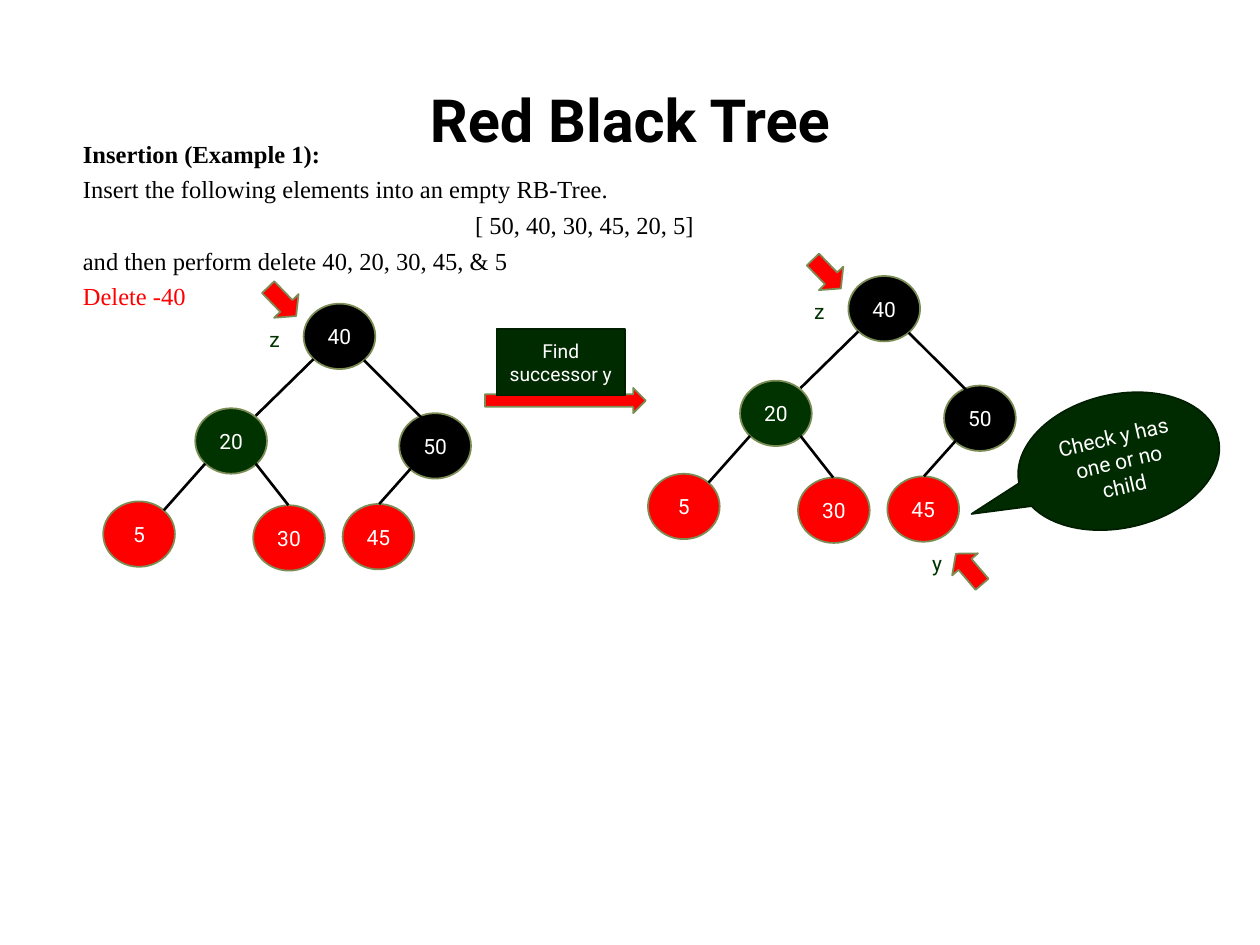
import pptx
import pptx.dml.color
import pptx.enum.shapes
import pptx.enum.text
import pptx.util
from pptx.oxml.ns import qn

Pt = pptx.util.Pt
RGB = pptx.dml.color.RGBColor
SHAPE = pptx.enum.shapes.MSO_SHAPE
ALIGN = pptx.enum.text.PP_ALIGN
ANCHOR = pptx.enum.text.MSO_ANCHOR

BLACK = RGB(0x00, 0x00, 0x00)
WHITE = RGB(0xFF, 0xFF, 0xFF)
RED = RGB(0xFF, 0x00, 0x00)
GREEN = RGB(0x00, 0x33, 0x00)
DARK_GREEN = RGB(0x00, 0x2A, 0x00)
DEEP_GREEN = RGB(0x00, 0x1F, 0x00)
OLIVE = RGB(0x7B, 0x8D, 0x55)

NODE_SIZE = (41, 37.4)
POINTER_SIZE = (23, 19.4)
LABEL_SIZE = (19.4, 21.6)

# Offsets from the top left corner of a tree
NODES = [
    ("40", 114.5, 10.8, BLACK),
    ("50", 169.2, 73.4, BLACK),
    ("20", 52.6, 70.6, GREEN),
    ("45", 136.8, 125.3, RED),
    ("5", 0, 123.8, RED),
    ("30", 85.7, 126, RED),
]
EDGES = [
    (149, 43.2, 182.2, 76.3),
    (120.2, 42.5, 87.1, 74.9),
    (175.7, 105.1, 157.7, 125.3),
    (58.3, 102.2, 34.6, 128.9),
    (87.1, 102.2, 105.8, 126),
]

BODY = [
    ("Insertion (Example 1):", ALIGN.JUSTIFY, {"bold": True}, BLACK),
    ("Insert the following elements into an empty RB-Tree.", ALIGN.JUSTIFY, {}, BLACK),
    ("[ 50, 40, 30, 45, 20, 5]", ALIGN.CENTER, {}, BLACK),
    ("and then perform delete 40, 20, 30, 45, & 5", ALIGN.LEFT, {}, BLACK),
    ("Delete -40", ALIGN.LEFT, {}, RED),
]


def write(p, text, color, align=ALIGN.LEFT, **font):
    r = p.add_run()
    r.text = text
    p.alignment = align
    for name, value in {"name": "Roboto", "size": Pt(12), **font}.items():
        setattr(r.font, name, value)
    r.font.color.rgb = color


def add_text_box(s, box, wrap=True):
    tf = s.shapes.add_textbox(*map(Pt, box)).text_frame
    tf.word_wrap = wrap
    return tf


def add_shape(s, kind, box, fill, line=OLIVE, rotation=0, adjustments=()):
    sp = s.shapes.add_shape(kind, *map(Pt, box))
    sp.shadow.inherit = False
    sp.fill.solid()
    sp.fill.fore_color.rgb = fill
    sp.line.color.rgb = line
    sp.line.width = Pt(1)
    sp.rotation = rotation
    for i, value in enumerate(adjustments):
        sp.adjustments[i] = value
    return sp


def caption(sp, text, size=12, inset=None):
    tf = sp.text_frame
    tf.word_wrap = True
    tf.vertical_anchor = ANCHOR.MIDDLE
    if inset is not None:
        for side in ("left", "right", "top", "bottom"):
            setattr(tf, f"margin_{side}", Pt(inset))
    write(tf.paragraphs[0], text, WHITE, ALIGN.CENTER, size=Pt(size))


def add_edge(s, x1, y1, x2, y2):
    cn = s.shapes.add_connector(
        pptx.enum.shapes.MSO_CONNECTOR.STRAIGHT, Pt(x1), Pt(y1), Pt(x2), Pt(y2))
    cn.line.color.rgb = BLACK
    cn.line.width = Pt(1.5)
    spPr = cn._element.spPr
    spPr.append(spPr.makeelement(qn("a:effectLst"), {}))


def add_pointer(s, name, arrow_at, label_at, rotation):
    """Short red arrow with the name of the variable beside it."""
    add_shape(s, SHAPE.RIGHT_ARROW, arrow_at + POINTER_SIZE, RED,
              rotation=rotation, adjustments=(0.5, 0.415))
    tf = add_text_box(s, label_at + LABEL_SIZE, wrap=False)
    write(tf.paragraphs[0], name, GREEN)


def add_tree(s, x, y):
    for key, dx, dy, fill in NODES:
        sp = add_shape(s, SHAPE.OVAL, (x + dx, y + dy) + NODE_SIZE, fill)
        caption(sp, key, inset=0)
    for x1, y1, x2, y2 in EDGES:
        add_edge(s, x + x1, y + y1, x + x2, y + y2)
    add_pointer(s, "z", (x + 90.7, y), (x + 87.8, y + 20.2), 46)


def add_title(s, box):
    tf = add_text_box(s, box)
    tf.vertical_anchor = ANCHOR.MIDDLE
    write(tf.paragraphs[0], "Red Black Tree", BLACK, ALIGN.CENTER,
          size=Pt(34), bold=True)


def add_body(s, box):
    tf = add_text_box(s, box)
    for i, (text, align, font, color) in enumerate(BODY):
        p = tf.add_paragraph() if i else tf.paragraphs[0]
        p.space_before = Pt(3.6 if i else 0)
        write(p, text, color, align, name="Times New Roman", size=Pt(14), **font)


def add_step(s, x, y):
    """Captioned arrow leading from one tree to the next."""
    add_shape(s, SHAPE.RIGHT_ARROW, (x, y + 33.8, 91.8, 14.4), RED)
    sp = add_shape(s, SHAPE.RECTANGLE, (x + 6.5, y, 73.6, 38.2), DARK_GREEN, DEEP_GREEN)
    caption(sp, "Find successor y", size=11)


def add_callout(s, box):
    sp = add_shape(s, SHAPE.OVAL_CALLOUT, box, DARK_GREEN, DEEP_GREEN,
                   rotation=347.2, adjustments=(-0.761, 0.141))
    caption(sp, "Check y has one or no child")


def main():
    prs = pptx.Presentation()
    prs.slide_width, prs.slide_height = Pt(720), Pt(540)
    s = prs.slides.add_slide(prs.slide_layouts[6])
    add_title(s, (36, 39.6, 648, 56.9))
    add_body(s, (40.3, 75.6, 587.5, 87.1))
    add_tree(s, 59, 162.7)
    add_step(s, 277.2, 187.9)
    add_callout(s, (581, 225.4, 116.6, 76.3))
    add_tree(s, 370.3, 146.9)
    add_pointer(s, "y", (542.2, 315.4), (525.6, 311), 229.5)
    prs.save("out.pptx")


if __name__ == "__main__":
    main()
